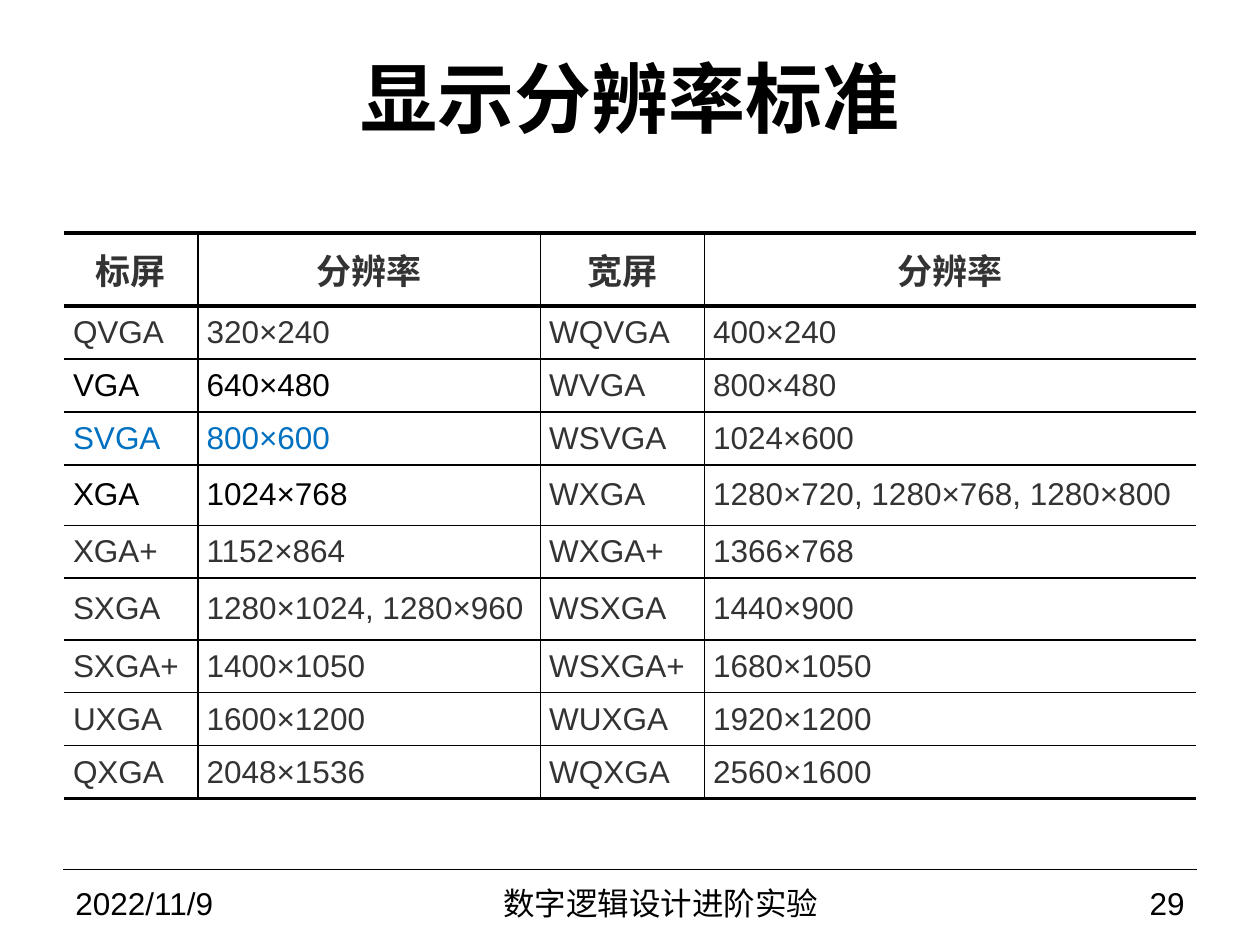
from dataclasses import dataclass

from lxml import etree
from pptx import Presentation
from pptx import util as u
from pptx.dml.color import RGBColor
from pptx.enum import shapes, text
from pptx.oxml import ns

BLACK = RGBColor(0x00, 0x00, 0x00)
GREY = RGBColor(0x33, 0x33, 0x33)
BLUE = RGBColor(0x00, 0x70, 0xC0)
WHITE = RGBColor(0xFF, 0xFF, 0xFF)
LEFT, CENTER, RIGHT = text.PP_ALIGN.LEFT, text.PP_ALIGN.CENTER, text.PP_ALIGN.RIGHT
THIN, THICK = 1, 2.25


@dataclass
class Label:
    wording: str
    left: float
    top: float
    width: float
    height: float
    align: text.PP_ALIGN
    size: float = 18
    font: str = "Arial"
    bold: bool = False


@dataclass
class Standard:
    cells: tuple[str, str, str, str]
    height: float = 0.42
    color: RGBColor = GREY
    header: bool = False


TITLE = Label("显示分辨率标准", 0.5, 0.3, 9, 0.93, CENTER, 44, "Times New Roman", True)
FOOTERS = [
    Label("29", 7.75, 6.98, 1.75, 0.37, RIGHT),
    Label("数字逻辑设计进阶实验", 2.83, 6.98, 4.83, 0.37, CENTER),
    Label("2022/11/9", 0.5, 6.98, 2.33, 0.37, LEFT),
]
COLUMNS = [1.06, 2.72, 1.3, 3.9]
STANDARDS = [
    Standard(("标屏", "分辨率", "宽屏", "分辨率"), 0.58, header=True),
    Standard(("QVGA", "320×240", "WQVGA", "400×240")),
    Standard(("VGA", "640×480", "WVGA", "800×480"), color=BLACK),
    Standard(("SVGA", "800×600", "WSVGA", "1024×600"), color=BLUE),
    Standard(("XGA", "1024×768", "WXGA", "1280×720, 1280×768, 1280×800"), 0.48, BLACK),
    Standard(("XGA+", "1152×864", "WXGA+", "1366×768")),
    Standard(("SXGA", "1280×1024, 1280×960", "WSXGA", "1440×900"), 0.49),
    Standard(("SXGA+", "1400×1050", "WSXGA+", "1680×1050")),
    Standard(("UXGA", "1600×1200", "WUXGA", "1920×1200")),
    Standard(("QXGA", "2048×1536", "WQXGA", "2560×1600")),
]


def write(frame, wording: str, align: text.PP_ALIGN, color: RGBColor, formats: dict) -> None:
    para = frame.paragraphs[0]
    para.alignment = align
    span = para.add_run()
    span.text = wording
    span.font.color.rgb = color
    for name, value in formats.items():
        setattr(span.font, name, value)


def draw_label(page, label: Label) -> None:
    lengths = (label.left, label.top, label.width, label.height)
    box = page.shapes.add_textbox(*map(u.Inches, lengths))
    box.text_frame.word_wrap = True
    box.text_frame.vertical_anchor = text.MSO_ANCHOR.MIDDLE
    formats = {"size": u.Pt(label.size), "name": label.font, "bold": label.bold}
    write(box.text_frame, label.wording, label.align, BLACK, formats)


def draw_rule(page) -> None:
    ends = map(u.Inches, (0.5, 6.9, 9.5, 6.9))
    rule = page.shapes.add_connector(shapes.MSO_CONNECTOR.STRAIGHT, *ends)
    rule.line.color.rgb = BLACK
    rule.line.width = u.Pt(0.75)
    etree.SubElement(rule._element.spPr, ns.qn("a:effectLst"))


def set_borders(cell, widths: dict[str, float]) -> None:
    properties = cell._tc.get_or_add_tcPr()
    for side, width in widths.items():
        border = etree.SubElement(properties, ns.qn(f"a:ln{side}"), w=str(u.Pt(width)))
        if width:
            fill = etree.SubElement(border, ns.qn("a:solidFill"))
            etree.SubElement(fill, ns.qn("a:srgbClr"), val=str(BLACK))
        else:
            etree.SubElement(border, ns.qn("a:noFill"))


def draw_cell(cell, standard: Standard, row: int, column: int) -> None:
    last_row, last_column = len(STANDARDS) - 1, len(COLUMNS) - 1
    set_borders(cell, {
        "L": THIN if column > 0 else 0,
        "R": THIN if column < last_column else 0,
        "T": THICK if row <= 1 else THIN,
        "B": THICK if row in (0, last_row) else THIN,
    })
    cell.fill.solid()
    cell.fill.fore_color.rgb = WHITE
    layout = {
        "margin_left": u.Inches(0.07), "margin_right": u.Inches(0.07),
        "margin_top": u.Inches(0.01), "margin_bottom": u.Inches(0.01),
        "vertical_anchor": text.MSO_ANCHOR.MIDDLE,
    }
    for name, value in layout.items():
        setattr(cell, name, value)
    formats = {
        "size": u.Pt(20 if standard.header else 18),
        "name": "Arial",
        "bold": standard.header,
    }
    align = CENTER if standard.header else LEFT
    color = standard.color if column < 2 else GREY
    write(cell.text_frame, standard.cells[column], align, color, formats)


def draw_standards(page) -> None:
    height = sum(standard.height for standard in STANDARDS)
    lengths = map(u.Inches, (0.51, 1.85, sum(COLUMNS), height))
    table = page.shapes.add_table(len(STANDARDS), len(COLUMNS), *lengths).table
    for column, width in enumerate(COLUMNS):
        table.columns[column].width = u.Inches(width)
    for row, standard in enumerate(STANDARDS):
        table.rows[row].height = u.Inches(standard.height)
        for column in range(len(COLUMNS)):
            draw_cell(table.cell(row, column), standard, row, column)


def main() -> None:
    deck = Presentation()
    deck.slide_width, deck.slide_height = u.Inches(10), u.Inches(7.5)
    page = deck.slides.add_slide(deck.slide_layouts[6])
    draw_rule(page)
    draw_standards(page)
    for label in [TITLE, *FOOTERS]:
        draw_label(page, label)
    deck.save("out.pptx")


if __name__ == "__main__":
    main()
